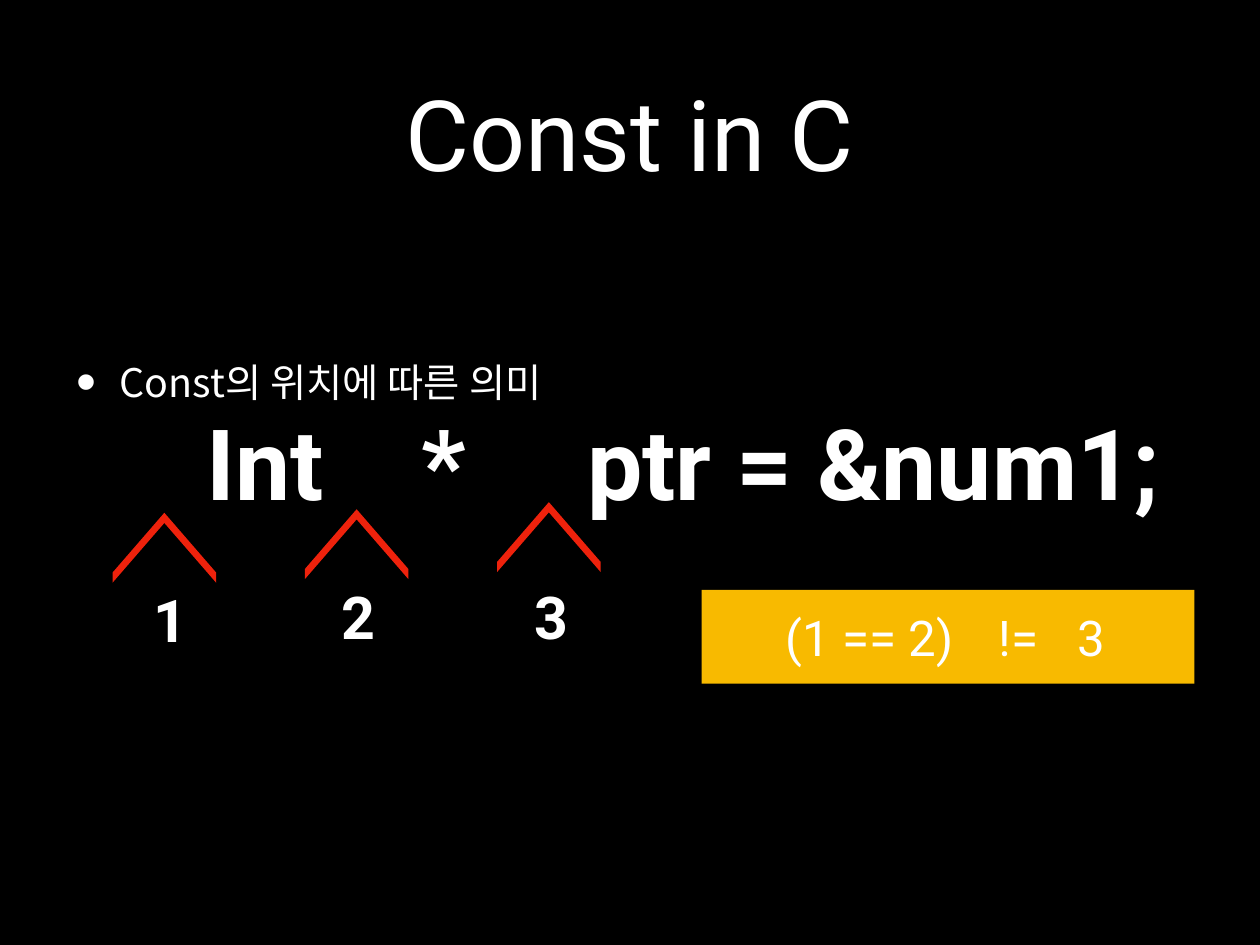
from lxml import etree
from pptx import Presentation
from pptx.dml.color import RGBColor
from pptx.enum import shapes, text
from pptx.oxml.ns import qn
from pptx.util import Inches, Pt

BLACK = RGBColor(0x00, 0x00, 0x00)
WHITE = RGBColor(0xFF, 0xFF, 0xFF)
RED = RGBColor(0xEE, 0x22, 0x0C)
GOLD = RGBColor(0xF8, 0xBA, 0x00)
LATIN = "Roboto"
KOREAN = "Noto Sans CJK KR"
CENTER = text.PP_ALIGN.CENTER
LEFT = text.PP_ALIGN.LEFT


def place(shape, x, y, w, h):
    shape.left, shape.top = Inches(x), Inches(y)
    shape.width, shape.height = Inches(w), Inches(h)


def write(shape, words, size, bold=False, align=CENTER, tabs=(), font=LATIN):
    """Fill the shape with one paragraph; tabs are inches from the text's left edge."""
    frame = shape.text_frame
    frame.word_wrap = True
    frame.auto_size = text.MSO_AUTO_SIZE.NONE
    frame.vertical_anchor = text.MSO_ANCHOR.MIDDLE
    frame.margin_left = frame.margin_right = Inches(0.06)
    frame.margin_top = frame.margin_bottom = Inches(0.06)
    frame.text = words
    para = frame.paragraphs[0]
    para.alignment = align
    para.space_before = Pt(0)
    if tabs:
        stops = etree.SubElement(para._p.get_or_add_pPr(), qn("a:tabLst"))
        for tab in tabs:
            etree.SubElement(stops, qn("a:tab"), pos=str(Inches(tab)), algn="l")
    para.font.name = font
    para.font.size = Pt(size)
    para.font.bold = bold
    para.font.color.rgb = WHITE
    return para


deck = Presentation()
deck.slide_width, deck.slide_height = Inches(14.22), Inches(10.67)
slide = deck.slides.add_slide(deck.slide_layouts[1])
slide.background.fill.solid()
slide.background.fill.fore_color.rgb = BLACK

# Title and bullet
title, body = slide.placeholders
place(title, 1.04, 0.31, 12.14, 2.36)
write(title, "Const in C", 80)

place(body, 0.8, 3.77, 10.78, 1.08)
point = write(body, "Const의 위치에 따른 의미", 32, align=LEFT, font=KOREAN)
props = point._p.pPr
props.set("marL", str(Inches(0.49)))
props.set("indent", str(-Inches(0.49)))
face = props.find(qn("a:defRPr"))
face.find(qn("a:latin")).addnext(etree.Element(qn("a:ea"), typeface=KOREAN))
dot = etree.Element(qn("a:buChar"), char="•")
face.addprevious(etree.Element(qn("a:buSzPct"), val="145000"))
face.addprevious(dot)

# Declaration with its three possible const positions
code = slide.shapes.add_textbox(0, 0, 0, 0)
place(code, 2.27, 4.48, 11.43, 1.46)
write(code, "Int\t*\tptr = &num1;", 80, True, LEFT, (2.43, 4.3))

spots = [(5.6, 1.11, 6.53), (5.56, 3.23, 6.49), (5.48, 5.41, 6.49)]
for i, (tip, x, y) in enumerate(spots):
    mark = slide.shapes.add_shape(shapes.MSO_SHAPE.CHEVRON, 0, 0, 0, 0)
    place(mark, 1.46 + 2.17 * i, tip, 0.79, 1.17)
    mark.adjustments[0] = 0.855
    mark.rotation = 270
    mark.shadow.inherit = False
    mark.fill.solid()
    mark.fill.fore_color.rgb = RED
    mark.line.fill.background()

    label = slide.shapes.add_textbox(0, 0, 0, 0)
    place(label, x, y, 1.62, 0.92)
    write(label, str(i + 1), 48, True)

# Result
result = slide.shapes.add_shape(shapes.MSO_SHAPE.RECTANGLE, 0, 0, 0, 0)
place(result, 7.92, 6.66, 5.56, 1.06)
result.shadow.inherit = False
result.fill.solid()
result.fill.fore_color.rgb = GOLD
result.line.fill.background()
write(result, "(1 == 2)\t!=\t3", 40, align=LEFT, tabs=(2.4, 3.29))
result.text_frame.margin_left = Inches(0.95)

deck.save("out.pptx")
